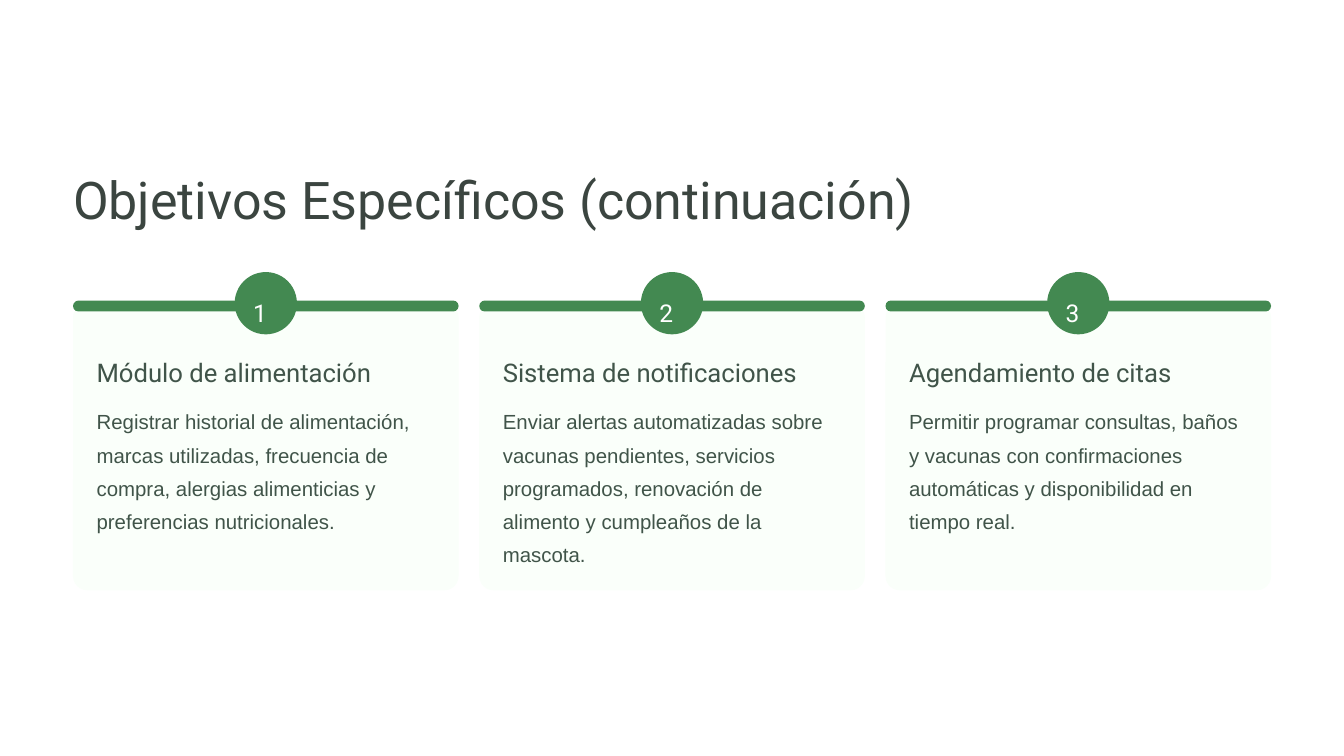
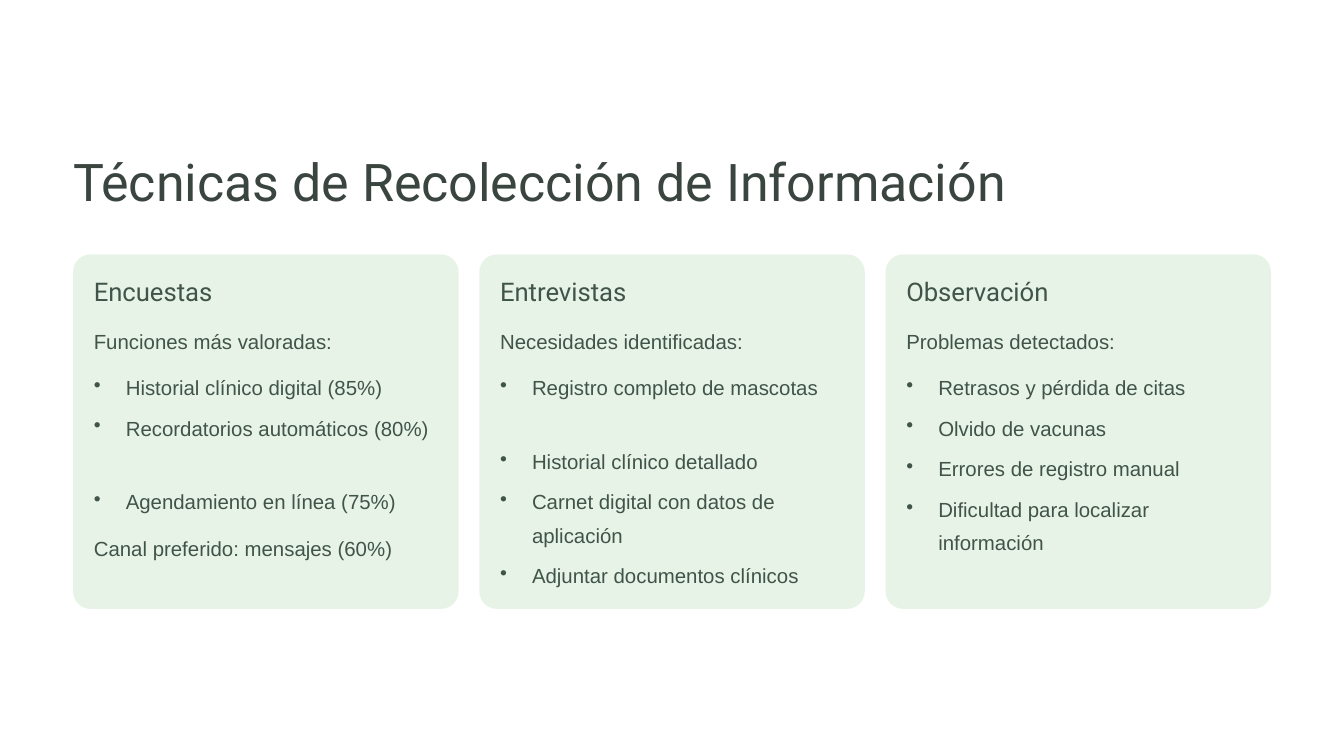
"""Build two three-column slides on the objectives and research techniques of a pet care project."""
from lxml.etree import SubElement
from pptx import Presentation
from pptx.dml.color import RGBColor
from pptx.enum.shapes import MSO_SHAPE as Shape
from pptx.enum.text import MSO_ANCHOR as Anchor, MSO_AUTO_SIZE as AutoSize, PP_ALIGN as Align
from pptx.oxml.ns import qn
from pptx.util import Pt

TITLE_COLOR = RGBColor(0x3B, 0x45, 0x40)
TEXT_COLOR = RGBColor(0x40, 0x54, 0x49)
GREEN = RGBColor(0x43, 0x89, 0x51)
PALE_GREEN = RGBColor(0xE8, 0xF3, 0xE8)
MINT = RGBColor(0xFA, 0xFF, 0xFA)
WHITE = RGBColor(0xFF, 0xFF, 0xFF)

TITLE_STYLE = ("Roboto", 44.5, 55.5, TITLE_COLOR)
HEADING_STYLE = ("Roboto", 22, 27.5, TEXT_COLOR)
NUMBER_STYLE = ("Roboto", 21, 34, WHITE)
BODY_STYLE = ("Arial", 17.5, 28.5, TEXT_COLOR)

LEFT, CARD_WIDTH, CARD_STEP = 62.6, 330.5, 348.2
BULLET_INDENT = 27.4
BULLET_GAP, BLOCK_GAP = 6.4, 11
LINE_GAP = BULLET_GAP + 28.5

OBJECTIVES_TITLE = "Objetivos Específicos (continuación)"
OBJECTIVES = [
    ("Módulo de alimentación",
     "Registrar historial de alimentación, marcas utilizadas, frecuencia de compra, "
     "alergias alimenticias y preferencias nutricionales."),
    ("Sistema de notificaciones",
     "Enviar alertas automatizadas sobre vacunas pendientes, servicios programados, "
     "renovación de alimento y cumpleaños de la mascota."),
    ("Agendamiento de citas",
     "Permitir programar consultas, baños y vacunas con confirmaciones automáticas "
     "y disponibilidad en tiempo real."),
]

TECHNIQUES_TITLE = "Técnicas de Recolección de Información"
TECHNIQUES = [
    ("Encuestas", [
        ("Funciones más valoradas:", 0, False),
        ("Historial clínico digital (85%)", BLOCK_GAP, True),
        ("Recordatorios automáticos (80%)", BULLET_GAP, True),
        ("Agendamiento en línea (75%)", LINE_GAP, True),
        ("Canal preferido: mensajes (60%)", BLOCK_GAP, False),
    ]),
    ("Entrevistas", [
        ("Necesidades identificadas:", 0, False),
        ("Registro completo de mascotas", BLOCK_GAP, True),
        ("Historial clínico detallado", LINE_GAP, True),
        ("Carnet digital con datos de aplicación", BULLET_GAP, True),
        ("Adjuntar documentos clínicos", BULLET_GAP, True),
    ]),
    ("Observación", [
        ("Problemas detectados:", 0, False),
        ("Retrasos y pérdida de citas", BLOCK_GAP, True),
        ("Olvido de vacunas", BULLET_GAP, True),
        ("Errores de registro manual", BULLET_GAP, True),
        ("Dificultad para localizar información", BULLET_GAP, True),
    ]),
]


def add_bullet(paragraph):
    properties = paragraph._p.get_or_add_pPr()
    properties.set("marL", str(Pt(BULLET_INDENT)))
    properties.set("indent", str(-Pt(BULLET_INDENT)))
    SubElement(properties, qn("a:buChar")).set("char", "•")


def write(shape, paragraphs, style, wrap):
    font_name, size, line_height, color = style
    frame = shape.text_frame
    frame.margin_left = frame.margin_top = frame.margin_right = frame.margin_bottom = 0
    frame.word_wrap = wrap
    frame.auto_size = AutoSize.NONE
    frame.vertical_anchor = Anchor.TOP
    for index, (text, space_before, bulleted) in enumerate(paragraphs):
        paragraph = frame.add_paragraph() if index else frame.paragraphs[0]
        paragraph.text = text
        if bulleted:
            add_bullet(paragraph)
        paragraph.alignment = Align.LEFT
        paragraph.line_spacing = Pt(line_height)
        paragraph.space_before = Pt(space_before)
        paragraph.font.name = font_name
        paragraph.font.size = Pt(size)
        paragraph.font.color.rgb = color


def add_text(slide, box, paragraphs, style, wrap=False):
    if isinstance(paragraphs, str):
        paragraphs = [(paragraphs, 0, False)]
    write(slide.shapes.add_textbox(*map(Pt, box)), paragraphs, style, wrap)


def add_rounded(slide, box, radius, color):
    shape = slide.shapes.add_shape(Shape.ROUNDED_RECTANGLE, *map(Pt, box))
    shape.adjustments[0] = radius
    shape.shadow.inherit = False
    shape.fill.solid()
    shape.fill.fore_color.rgb = color
    shape.line.fill.background()


def add_titled_slide(presentation, text, top, width):
    slide = presentation.slides.add_slide(presentation.slide_layouts[5])
    title = slide.shapes.title
    title.left, title.top, title.width, title.height = map(Pt, (LEFT, top, width, 56))
    write(title, [(text, 0, False)], TITLE_STYLE, False)
    return slide


def add_objectives(presentation):
    slide = add_titled_slide(presentation, OBJECTIVES_TITLE, 141.8, 760)
    for index, (heading, description) in enumerate(OBJECTIVES):
        left = LEFT + index * CARD_STEP
        text_left = left + 20.2
        add_rounded(slide, (left, 260, CARD_WIDTH, 246), 0.05, MINT)
        add_rounded(slide, (left, 257.6, CARD_WIDTH, 9.4), 0.5, GREEN)
        add_rounded(slide, (left + (CARD_WIDTH - 53.4) / 2, 233.2, 53.4, 53.4), 0.5, GREEN)
        add_text(slide, (left + 154.4, 246.4, 21.4, 26.7), str(index + 1), NUMBER_STYLE)
        add_text(slide, (text_left, 304.6, 265, 28), heading, HEADING_STYLE)
        add_text(slide, (text_left, 343.4, 290, 142.5), description, BODY_STYLE, True)


def add_techniques(presentation):
    slide = add_titled_slide(presentation, TECHNIQUES_TITLE, 126, 839)
    for index, (heading, findings) in enumerate(TECHNIQUES):
        left = LEFT + index * CARD_STEP
        text_left = left + 17.8
        add_rounded(slide, (left, 218, CARD_WIDTH, 304), 0.05, PALE_GREEN)
        add_text(slide, (text_left, 235.4, 223, 28), heading, HEADING_STYLE)
        add_text(slide, (text_left, 274.4, 294.5, 230), findings, BODY_STYLE, True)


def main():
    presentation = Presentation()
    presentation.slide_width, presentation.slide_height = Pt(1152), Pt(648)
    add_objectives(presentation)
    add_techniques(presentation)
    presentation.save("out.pptx")


if __name__ == "__main__":
    main()
